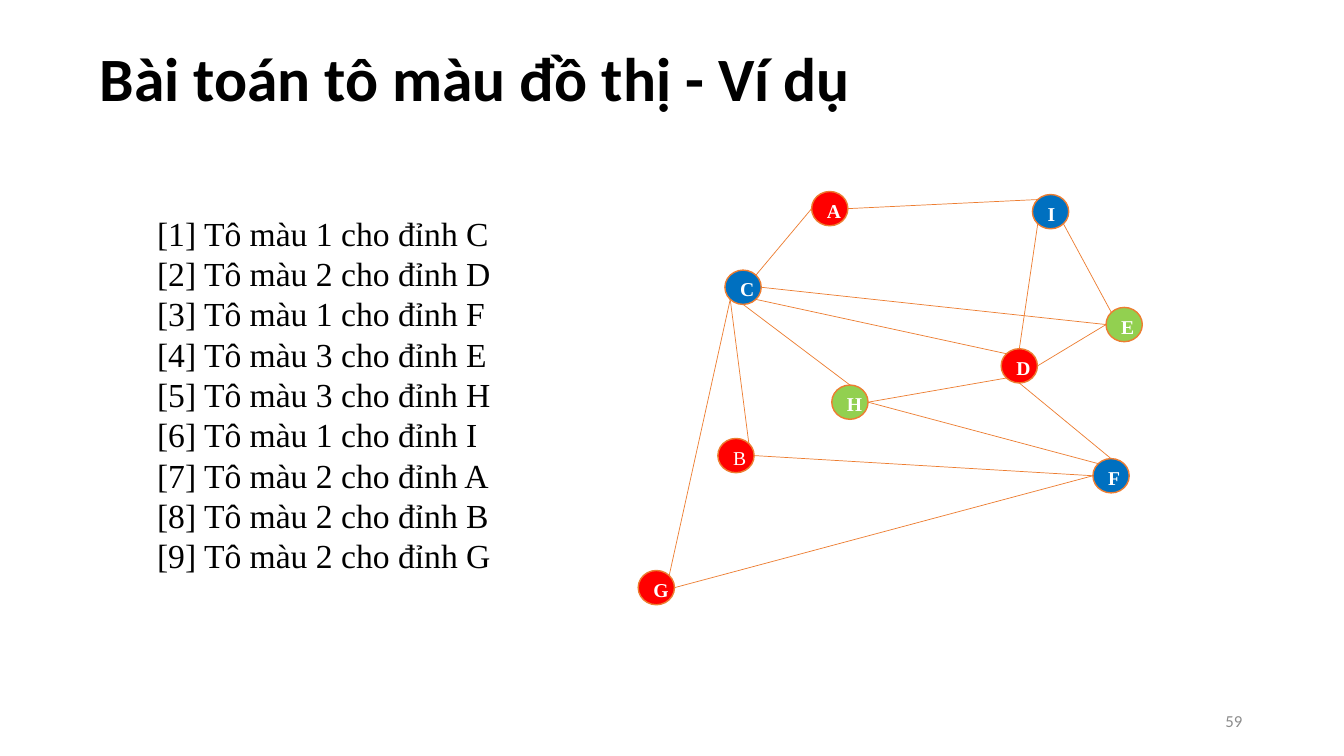
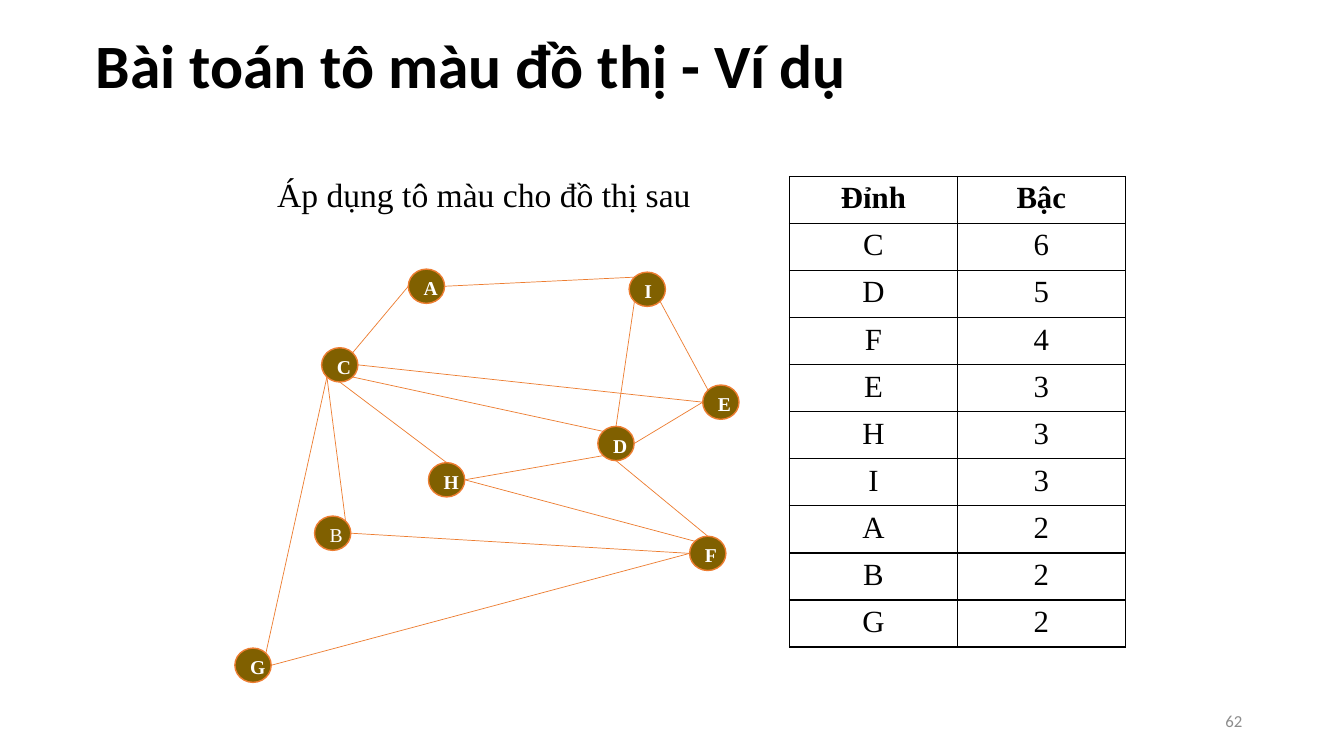
import math

from lxml import etree
from pptx import Presentation
from pptx.dml.color import RGBColor
from pptx.enum.shapes import MSO_CONNECTOR, MSO_SHAPE
from pptx.enum.text import MSO_ANCHOR, MSO_AUTO_SIZE, PP_ALIGN
from pptx.oxml.ns import qn
from pptx.util import Inches, Pt

OVAL = MSO_SHAPE.OVAL
STRAIGHT = MSO_CONNECTOR.STRAIGHT
MIDDLE = MSO_ANCHOR.MIDDLE
GROW = MSO_AUTO_SIZE.SHAPE_TO_FIT_TEXT
LEFT, CENTER, RIGHT = PP_ALIGN.LEFT, PP_ALIGN.CENTER, PP_ALIGN.RIGHT

BLACK, WHITE, GRAY = "000000", "FFFFFF", "8C8C8C"
ORANGE, BROWN = "ED7D31", "806000"
COLORS = {1: "0070C0", 2: "FF0000", 3: "92D050"}
HEADING_FONT, BODY_FONT = "Calibri", "Times New Roman"
TITLE = "Bài toán tô màu đồ thị - Ví dụ"

NODE_WIDTH, NODE_HEIGHT = 0.36, 0.34
NODES = {
    "C": (7.19, 2.68), "B": (7.12, 4.35), "A": (8.05, 1.9),
    "D": (9.93, 3.46), "E": (10.97, 3.05), "F": (10.84, 4.55),
    "G": (6.33, 5.66), "H": (8.25, 3.82), "I": (10.24, 1.93),
}
SITE_ANGLES = {
    "right": 0, "bottom right": 45, "bottom": 90, "bottom left": 135,
    "left": 180, "top left": 225, "top": 270, "top right": 315,
}
EDGES = [
    ("H", "right", "F", "top left"),
    ("B", "right", "F", "left"),
    ("D", "bottom", "F", "top"),
    ("F", "left", "G", "right"),
    ("D", "bottom left", "H", "right"),
    ("C", "bottom left", "B", "top right"),
    ("C", "top right", "A", "left"),
    ("C", "bottom right", "D", "top left"),
    ("C", "right", "E", "left"),
    ("C", "bottom left", "G", "top right"),
    ("C", "bottom", "H", "top"),
    ("A", "right", "I", "top left"),
    ("E", "top left", "I", "bottom right"),
    ("E", "left", "D", "right"),
    ("I", "bottom left", "D", "top"),
]
COLORING = {"C": 1, "D": 2, "F": 1, "E": 3, "H": 3, "I": 1, "A": 2, "B": 2, "G": 2}


def rgb(value):
    return RGBColor.from_string(value)


def write(frame, text, size=24, font=BODY_FONT, color=BLACK, bold=False,
          align=LEFT, spacing=None, after=None):
    for index, line in enumerate(text.split("\n")):
        para = frame.add_paragraph() if index else frame.paragraphs[0]
        para.alignment = align
        if spacing is not None:
            para.line_spacing = spacing
        if after is not None:
            para.space_after = Pt(after)
        span = para.add_run()
        span.text = line
        span.font.size = Pt(size)
        span.font.name = font
        span.font.bold = bold
        span.font.color.rgb = rgb(color)


def set_borders(cell, color, width):
    properties = cell._tc.get_or_add_tcPr()
    for side in ("a:lnL", "a:lnR", "a:lnT", "a:lnB"):
        line = etree.SubElement(properties, qn(side), w=str(Pt(width)))
        fill = etree.SubElement(line, qn("a:solidFill"))
        etree.SubElement(fill, qn("a:srgbClr"), val=color)


class Slides:
    def __init__(self):
        self.deck = Presentation()
        self.deck.slide_width = Inches(13.33)
        self.deck.slide_height = Inches(7.5)
        self.page = None

    def start(self, number, title_left, title_top):
        self.page = self.deck.slides.add_slide(self.deck.slide_layouts[6])
        self.text(title_left, title_top, 11.5, 1.45, TITLE, anchor=MIDDLE,
                  size=44, font=HEADING_FONT, bold=True, spacing=0.9)
        self.text(9.42, 6.95, 3, 0.4, str(number), anchor=MIDDLE,
                  size=12, font=HEADING_FONT, color=GRAY, align=RIGHT)

    def text(self, left, top, width, height, text, anchor=None, grow=False, **style):
        box = self.page.shapes.add_textbox(
            Inches(left), Inches(top), Inches(width), Inches(height))
        frame = box.text_frame
        frame.word_wrap = not grow
        if grow:
            frame.auto_size = GROW
        if anchor is not None:
            frame.vertical_anchor = anchor
        write(frame, text, **style)

    def node(self, group, name, left, top, color):
        oval = group.shapes.add_shape(
            OVAL, Inches(left), Inches(top), Inches(NODE_WIDTH), Inches(NODE_HEIGHT))
        oval.shadow.inherit = False
        oval.fill.solid()
        oval.fill.fore_color.rgb = rgb(color)
        oval.line.color.rgb = rgb(ORANGE)
        oval.line.width = Pt(1)
        oval.text_frame.vertical_anchor = MIDDLE
        write(oval.text_frame, name, size=14, color=WHITE, bold=name != "B",
              align=CENTER, spacing=1.15, after=10)

    def edge(self, group, start, end):
        x1, y1, x2, y2 = (Inches(value) for value in start + end)
        line = group.shapes.add_connector(STRAIGHT, x1, y1, x2, y2)
        line.line.color.rgb = rgb(ORANGE)
        line.line.width = Pt(0.5)
        etree.SubElement(line._element.spPr, qn("a:effectLst"))

    def graph(self, colors, shift_x=0, shift_y=0):
        group = self.page.shapes.add_group_shape()
        places = {name: (x + shift_x, y + shift_y) for name, (x, y) in NODES.items()}

        def site(name, side):
            left, top = places[name]
            angle = math.radians(SITE_ANGLES[side])
            return (left + NODE_WIDTH / 2 * (1 + math.cos(angle)),
                    top + NODE_HEIGHT / 2 * (1 + math.sin(angle)))

        for name, (left, top) in places.items():
            self.node(group, name, left, top, colors[name])
        for first, first_side, second, second_side in EDGES:
            self.edge(group, site(first, first_side), site(second, second_side))

    def table(self, left, top, width, height, rows):
        table = self.page.shapes.add_table(
            len(rows), len(rows[0]), Inches(left), Inches(top),
            Inches(width), Inches(height)).table
        table.first_row = False
        table.horz_banding = False
        for row, values in enumerate(rows):
            for column, value in enumerate(values):
                cell = table.cell(row, column)
                set_borders(cell, BLACK, 1)
                cell.fill.background()
                write(cell.text_frame, value, size=22, bold=row == 0, align=CENTER)


def main():
    slides = Slides()

    slides.start(59, 0.89, 0.08)
    slides.graph({name: COLORS[color] for name, color in COLORING.items()})
    steps = [f"[{step}] Tô màu {color} cho đỉnh {name}"
             for step, (name, color) in enumerate(COLORING.items(), 1)]
    slides.text(1.46, 2.06, 3.54, 3.74, "\n".join(steps), grow=True)

    slides.start(62, 0.85, -0.05)
    slides.graph(dict.fromkeys(NODES, BROWN), shift_x=-4, shift_y=0.77)
    slides.text(2.65, 1.68, 4.34, 0.5, "Áp dụng tô màu cho đồ thị sau", grow=True)
    ends = [name for edge in EDGES for name in edge[::2]]
    degrees = [(name, str(ends.count(name))) for name in COLORING]
    slides.table(7.83, 1.75, 3.33, 4.67, [("Đỉnh", "Bậc")] + degrees)

    slides.deck.save("out.pptx")


if __name__ == "__main__":
    main()
